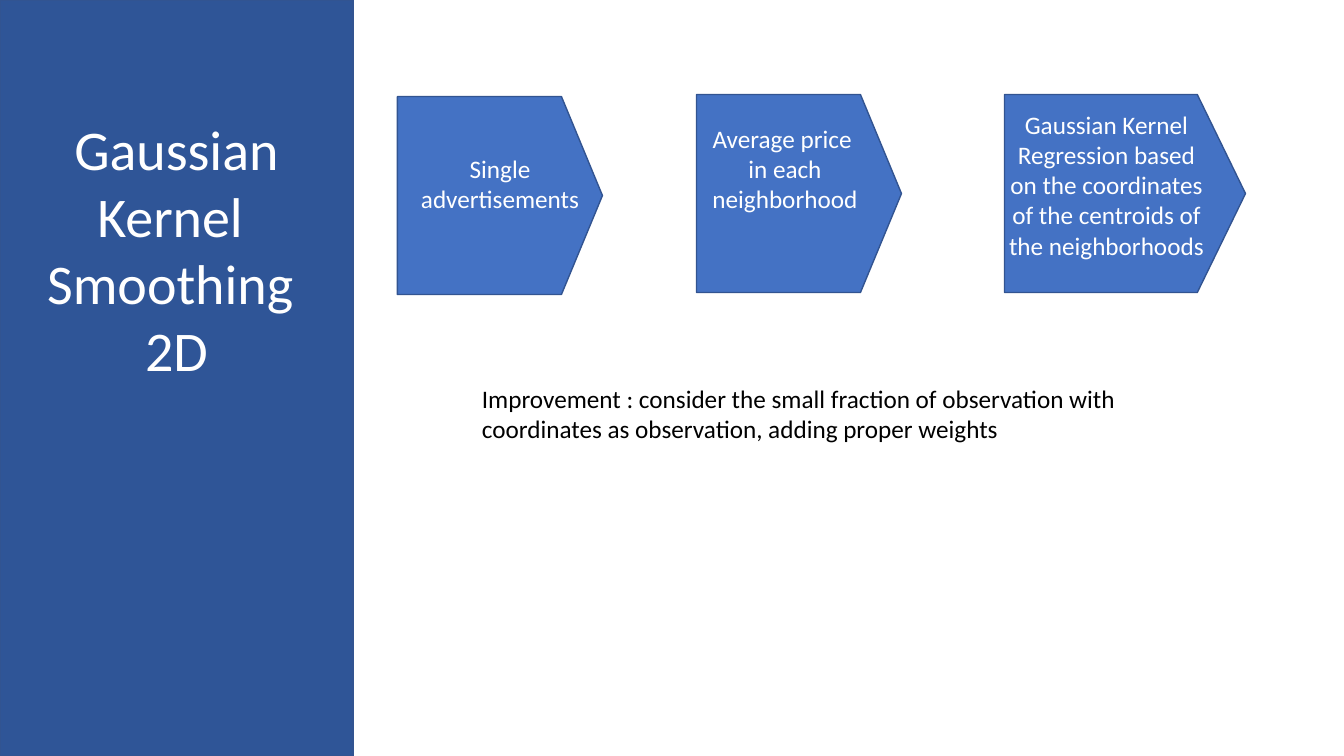
"""Build the slide on two-dimensional Gaussian kernel smoothing."""
import dataclasses

import pptx
import pptx.dml.color
import pptx.enum.shapes
import pptx.enum.text
import pptx.shapes.autoshape
import pptx.slide
import pptx.text.text
import pptx.util

SLIDE_W, SLIDE_H = 1344, 756
PANEL_W = 353
ARROW_H = 198
PX_PER_INCH = 100.8

Align = pptx.enum.text.PP_ALIGN
Shape = pptx.enum.shapes.MSO_SHAPE


@dataclasses.dataclass(frozen=True)
class Theme:
    """Colours, font and type sizes."""
    panel: str = "2F5597"
    arrow: str = "4472C4"
    outline: str = "325491"
    light: str = "FFFFFF"
    dark: str = "000000"
    font: str = "Calibri"
    title_pt: int = 40
    body_pt: int = 18
    line_pt: int = 1


@dataclasses.dataclass(frozen=True)
class Box:
    """A frame in px."""
    left: int
    top: int
    width: int
    height: int

    def emu(self) -> tuple[int, ...]:
        """Return the frame in EMU."""
        return tuple(px(v) for v in dataclasses.astuple(self))


@dataclasses.dataclass(frozen=True)
class Step:
    """An arrow, by its centre and length, with its label."""
    center_x: int
    center_y: int
    length: int
    label: Box
    lines: tuple[str, ...]

    def frame(self) -> Box:
        """Return the arrow's frame before its quarter turn."""
        return Box(self.center_x - ARROW_H // 2, self.center_y - self.length // 2,
                   ARROW_H, self.length)


THEME = Theme()
TITLE_BOX = Box(0, 109, PANEL_W, 281)
TITLE = ("Gaussian Kernel ", "Smoothing ", "2D")
STEPS = (
    Step(500, 195, 205, Box(401, 148, 198, 72), ("Single advertisements",)),
    Step(799, 193, 205, Box(686, 118, 198, 102),
         ("Average price ", "in each neighborhood")),
    Step(1125, 193, 241, Box(995, 104, 223, 163),
         ("Gaussian Kernel Regression based on the coordinates "
          "of the centroids of the neighborhoods",)),
)
NOTE_BOX = Box(472, 378, 687, 72)
NOTE = ("Improvement : consider the small fraction of observation with "
        "coordinates as observation, adding proper weights",)


def px(value: int) -> int:
    """Convert px to EMU."""
    return round(value * pptx.util.Inches(1) / PX_PER_INCH)


def rgb(value: str) -> pptx.dml.color.RGBColor:
    """Convert a hex string to a colour."""
    return pptx.dml.color.RGBColor.from_string(value)


def add_block(s: pptx.slide.Slide, kind: Shape, box: Box,
              fill: str) -> pptx.shapes.autoshape.Shape:
    """Add a filled, outlined shape without a shadow."""
    sp = s.shapes.add_shape(kind, *box.emu())
    sp.shadow.inherit = False
    sp.fill.solid()
    sp.fill.fore_color.rgb = rgb(fill)
    sp.line.color.rgb = rgb(THEME.outline)
    sp.line.width = pptx.util.Pt(THEME.line_pt)
    return sp


def write(tf: pptx.text.text.TextFrame, lines: tuple[str, ...], size: int,
          color: str, align: Align) -> None:
    """Fill a text frame with one paragraph per line."""
    tf.text = "\n".join(lines)
    tf.word_wrap = True
    tf.auto_size = pptx.enum.text.MSO_AUTO_SIZE.SHAPE_TO_FIT_TEXT
    tf.vertical_anchor = pptx.enum.text.MSO_ANCHOR.TOP
    for p in tf.paragraphs:
        p.alignment = align
        p.font.name = THEME.font
        p.font.size = pptx.util.Pt(size)
        p.font.color.rgb = rgb(color)


def add_text(s: pptx.slide.Slide, box: Box, lines: tuple[str, ...],
             color: str, align: Align) -> None:
    """Add a text box in the body size."""
    sp = s.shapes.add_textbox(*box.emu())
    write(sp.text_frame, lines, THEME.body_pt, color, align)


def add_title(s: pptx.slide.Slide) -> None:
    """Move the title placeholder onto the side panel and fill it."""
    panel = add_block(s, Shape.RECTANGLE, Box(0, 0, PANEL_W, SLIDE_H), THEME.panel)
    sp = s.shapes.title
    panel.element.addnext(sp.element)
    sp.left, sp.top, sp.width, sp.height = TITLE_BOX.emu()
    write(sp.text_frame, TITLE, THEME.title_pt, THEME.light, Align.CENTER)


def add_step(s: pptx.slide.Slide, step: Step) -> None:
    """Add an arrow pointing right, with its label."""
    arrow = add_block(s, Shape.FLOWCHART_OFFPAGE_CONNECTOR, step.frame(), THEME.arrow)
    arrow.rotation = 270
    add_text(s, step.label, step.lines, THEME.light, Align.CENTER)


def main() -> None:
    """Build and save the slide."""
    prs = pptx.Presentation()
    prs.slide_width, prs.slide_height = px(SLIDE_W), px(SLIDE_H)
    s = prs.slides.add_slide(prs.slide_layouts.get_by_name("Title Only"))
    add_title(s)
    for step in STEPS:
        add_step(s, step)
    add_text(s, NOTE_BOX, NOTE, THEME.dark, Align.LEFT)
    prs.save("out.pptx")


if __name__ == "__main__":
    main()
